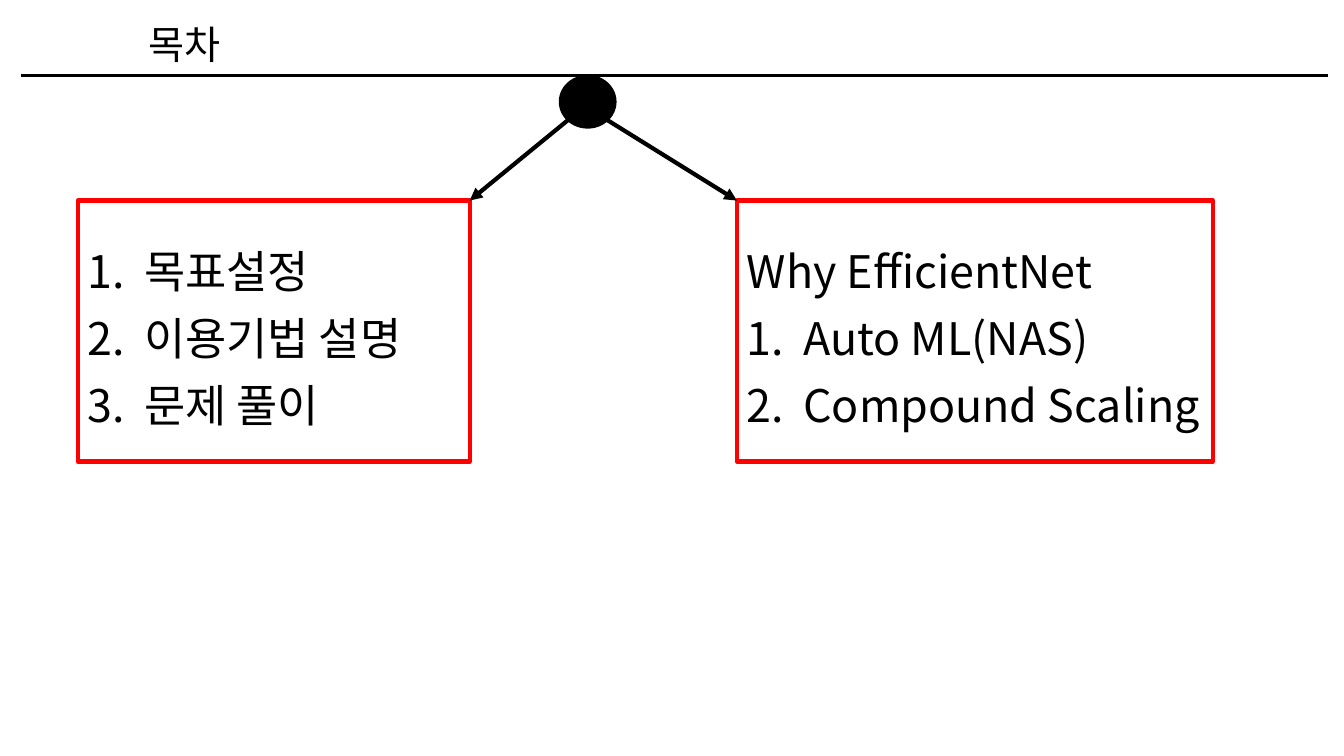
from math import sqrt

from lxml import etree
from pptx import Presentation
from pptx.dml.color import RGBColor
from pptx.enum.shapes import MSO_CONNECTOR, MSO_SHAPE
from pptx.enum.text import MSO_ANCHOR, PP_ALIGN
from pptx.oxml.ns import qn
from pptx.util import Inches, Pt

STRAIGHT = MSO_CONNECTOR.STRAIGHT
RECTANGLE, OVAL = MSO_SHAPE.RECTANGLE, MSO_SHAPE.OVAL
LEFT, CENTER = PP_ALIGN.LEFT, PP_ALIGN.CENTER
MIDDLE = MSO_ANCHOR.MIDDLE
TITLE_ONLY = 5


def color(hex_value):
    return RGBColor.from_string(hex_value)


class OutlineSlide:
    """Holds the style and the slide; positions are percentages of the slide."""

    FONT = "Noto Sans CJK KR"
    INK, ACCENT = "000000", "FF0000"
    INDENT = Inches(0.56)

    def __init__(self, prs):
        self.width, self.height = prs.slide_width, prs.slide_height
        self.slide = prs.slides.add_slide(prs.slide_layouts[TITLE_ONLY])

    def x(self, share):
        return round(self.width * share / 100)

    def y(self, share):
        return round(self.height * share / 100)

    def area(self, left, top, width, height):
        return self.x(left), self.y(top), self.x(width), self.y(height)

    def format_text(self, paragraph, size, align):
        paragraph.alignment = align
        for run in paragraph.runs:
            run.font.name = self.FONT
            run.font.size = Pt(size)
            run.font.color.rgb = color(self.INK)
            east_asian = etree.SubElement(run.font._element, qn("a:ea"))
            east_asian.set("typeface", self.FONT)

    def title(self, text, *area):
        heading = self.slide.shapes.title
        heading.left, heading.top, heading.width, heading.height = self.area(*area)
        heading.text_frame.text = text
        heading.text_frame.vertical_anchor = MIDDLE
        self.format_text(heading.text_frame.paragraphs[0], 28, CENTER)

    def shape(self, kind, area, line, weight, fill=None):
        shape = self.slide.shapes.add_shape(kind, *self.area(*area))
        shape.shadow.inherit = False
        if fill:
            shape.fill.solid()
            shape.fill.fore_color.rgb = color(fill)
        else:
            shape.fill.background()
        shape.line.color.rgb = color(line)
        shape.line.width = Pt(weight)
        return shape

    def list_box(self, area, items, intro=None):
        frame = self.shape(RECTANGLE, area, self.ACCENT, 3).text_frame
        frame.word_wrap = True
        frame.vertical_anchor = MIDDLE
        lines = ([intro] if intro else []) + items
        frame.text = "\n".join(lines)
        for paragraph, text in zip(frame.paragraphs, lines):
            paragraph.line_spacing = 1.24
            self.format_text(paragraph, 32, LEFT)
            if text != intro:
                self.number(paragraph)

    def number(self, paragraph):
        props = paragraph._p.get_or_add_pPr()
        props.set("marL", str(self.INDENT))
        props.set("indent", str(-self.INDENT))
        numbering = etree.SubElement(props, qn("a:buAutoNum"))
        numbering.set("type", "arabicPeriod")

    def line(self, start, end, weight, arrow=False):
        connector = self.slide.shapes.add_connector(
            STRAIGHT, self.x(start[0]), self.y(start[1]), self.x(end[0]), self.y(end[1]))
        connector.line.color.rgb = color(self.INK)
        connector.line.width = Pt(weight)
        if arrow:
            head = etree.SubElement(connector.line._get_or_add_ln(), qn("a:tailEnd"))
            head.set("type", "triangle")
        etree.SubElement(connector._element.spPr, qn("a:effectLst"))


def main():
    prs = Presentation()
    prs.slide_width, prs.slide_height = Inches(13.333), Inches(7.5)
    outline = OutlineSlide(prs)

    # Heading and rule
    rule_y = 10
    outline.title("목차", 0, 1.47, 27.45, 8.53)
    outline.line((1.58, rule_y), (98.78, rule_y), 2.25)

    # Two list boxes on a shared row
    box_top, box_height = 26.53, 34.53
    plan_left, plan_width = 5.78, 29.17
    method_left, method_width = 54.83, 35.4
    outline.list_box((plan_left, box_top, plan_width, box_height),
                     ["목표설정", "이용기법 설명", "문제 풀이"])
    outline.list_box((method_left, box_top, method_width, box_height),
                     ["Auto ML(NAS)", "Compound Scaling"], intro="Why EfficientNet")

    # Node hanging from the rule
    node_left, node_width, node_height = 41.63, 4.2, 6.93
    outline.shape(OVAL, (node_left, rule_y, node_width, node_height),
                  outline.INK, 1, fill=outline.INK)

    # Arrows from the node's lower diagonals to the inner box corners
    center_x, center_y = node_left + node_width / 2, rule_y + node_height / 2
    reach_x, reach_y = node_width / sqrt(8), node_height / sqrt(8)
    for side, corner_x in ((-1, plan_left + plan_width), (1, method_left)):
        outline.line((center_x + side * reach_x, center_y + reach_y),
                     (corner_x, box_top), 3, arrow=True)

    prs.save("out.pptx")


if __name__ == "__main__":
    main()
